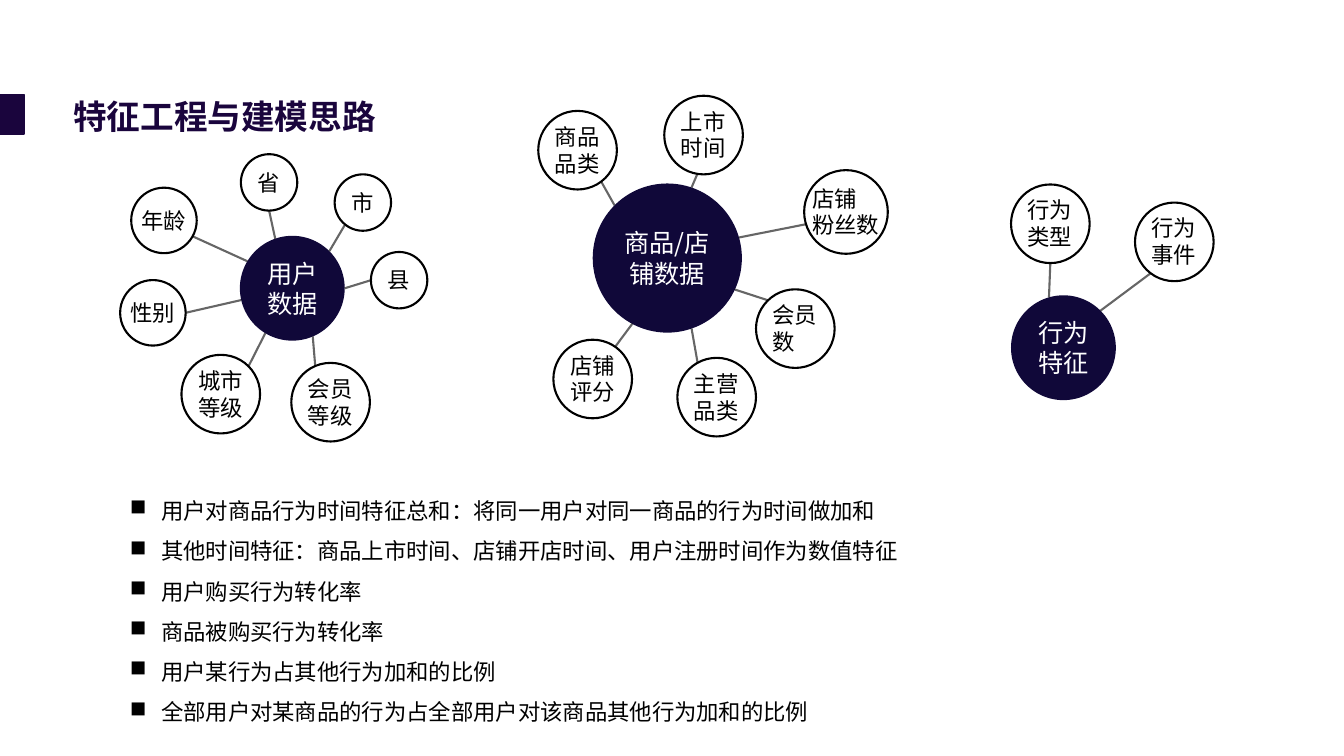
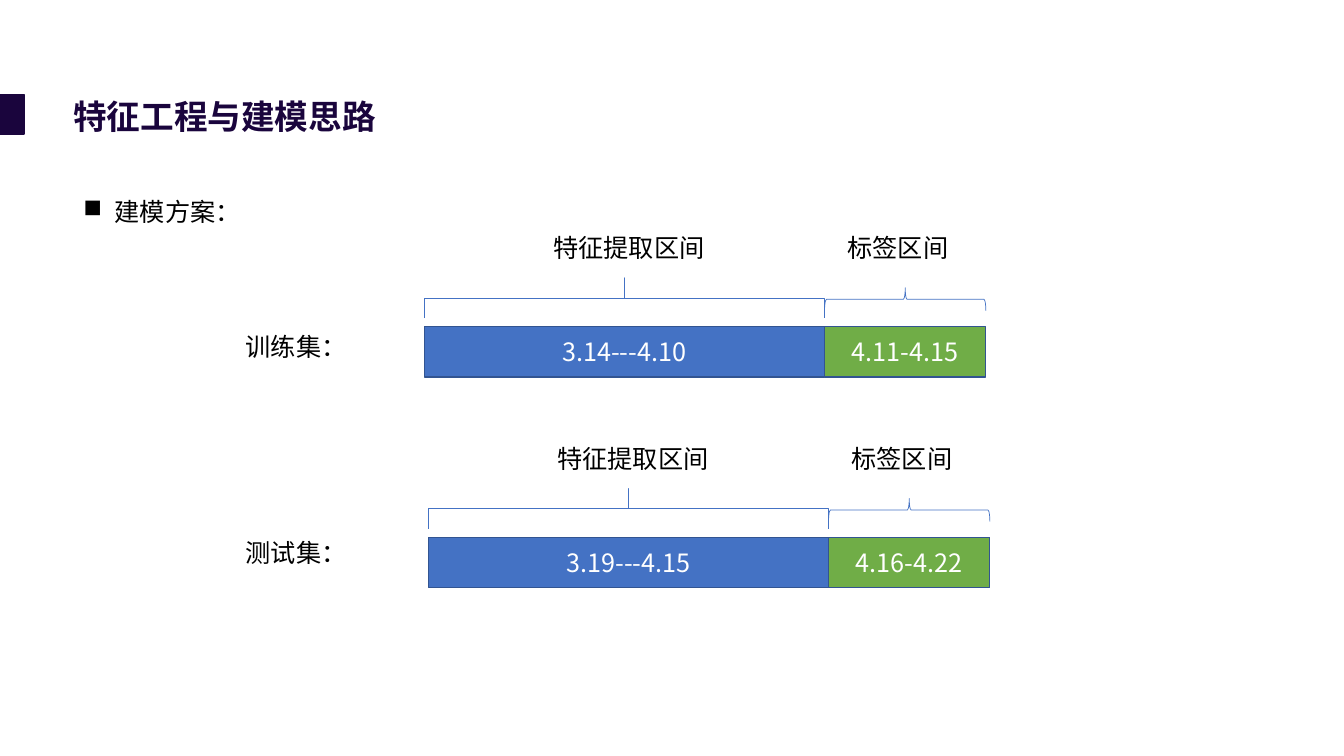
from dataclasses import dataclass
from math import cos, radians, sin

from lxml import etree
from pptx import Presentation, util as u
from pptx.dml.color import RGBColor
from pptx.enum import shapes, text
from pptx.oxml.ns import qn

COLUMNS, ROWS = 40, 22.5  # square cells
CELL = u.Inches(13.333) / COLUMNS


@dataclass(frozen=True)
class Theme:
    font: str = "Noto Sans CJK SC"
    title: str = "1A053D"
    hub: str = "100839"
    ink: str = "000000"
    paper: str = "FFFFFF"
    feature: str = "4472C4"
    label: str = "70AD47"
    edge: str = "325491"
    title_size: int = 24
    large: int = 18
    body: int = 16


THEME = Theme()
SHAPE = shapes.MSO_SHAPE
MIDDLE = text.MSO_ANCHOR.MIDDLE
CENTER = text.PP_ALIGN.CENTER


def cells(*lengths):
    return [u.Emu(round(length * CELL)) for length in lengths]


def write(frame, lines, size, color=THEME.ink, bold=False, align=None, spacing=None, bullet=None):
    """Fill a text frame with one paragraph per line, all in one style."""
    for index, line in enumerate(lines):
        para = frame.paragraphs[0] if index == 0 else frame.add_paragraph()
        para.text = line
        para.alignment = align
        para.line_spacing = spacing
        para.font.size = u.Pt(size)
        para.font.bold = bold
        para.font.color.rgb = RGBColor.from_string(color)
        para.font.name = THEME.font
        props = para._p.get_or_add_pPr()
        default = props.find(qn("a:defRPr"))
        etree.SubElement(default, qn("a:ea"), typeface=THEME.font)
        if bullet:
            indent = u.Inches(0.31)
            props.set("marL", str(indent))
            props.set("indent", str(-indent))
            mark = etree.Element(qn("a:buChar"), char=bullet)
            default.addprevious(mark)


def add_text(page, box, lines, size, wrap=True, anchor=None, **style):
    frame = page.shapes.add_textbox(*cells(*box)).text_frame
    frame.word_wrap = wrap
    frame.vertical_anchor = anchor
    write(frame, lines, size, **style)


def add_shape(page, kind, box, fill=None, line=None, width=1):
    shape = page.shapes.add_shape(kind, *cells(*box))
    shape.shadow.inherit = False
    if fill:
        shape.fill.solid()
        shape.fill.fore_color.rgb = RGBColor.from_string(fill)
    else:
        shape.fill.background()
    if line:
        shape.line.color.rgb = RGBColor.from_string(line)
        shape.line.width = u.Pt(width)
    else:
        shape.line.fill.background()
    return shape


def add_filled(page, kind, box, caption, fill, line=None):
    """A filled shape with a white, centred caption."""
    frame = add_shape(page, kind, box, fill, line).text_frame
    frame.word_wrap = True
    frame.vertical_anchor = MIDDLE
    write(frame, [caption], THEME.large, THEME.paper, align=CENTER)


def circle_box(x, y, diameter):
    return x - diameter / 2, y - diameter / 2, diameter, diameter


def rim(x, y, diameter, degrees):
    """Point on a circle, clockwise from the right."""
    angle = radians(degrees)
    return x + diameter / 2 * cos(angle), y + diameter / 2 * sin(angle)


def add_spoke(page, start, end):
    spoke = page.shapes.add_connector(shapes.MSO_CONNECTOR.STRAIGHT, *cells(*start, *end))
    spoke.line.color.rgb = RGBColor.from_string(THEME.ink)
    spoke.line.width = u.Pt(1.5)
    color = spoke._element.find(".//" + qn("a:srgbClr"))
    etree.SubElement(color, qn("a:alpha"), val="60000")
    etree.SubElement(spoke._element.spPr, qn("a:effectLst"))


def add_cluster(page, x, y, diameter, caption, satellites):
    """A hub circle centred on x, y with its satellites around it."""
    add_filled(page, SHAPE.OVAL, circle_box(x, y, diameter), caption, THEME.hub)
    for lines, dx, dy, size, leaves, meets in satellites:
        center = x + dx, y + dy
        add_shape(page, SHAPE.OVAL, circle_box(*center, size), line=THEME.ink, width=1.5)
        width = 0.67 * max(map(len, lines)) + 0.6
        height = 0.81 * len(lines) + 0.3
        label_box = center[0] - width / 2, center[1] - height / 2, width, height
        add_text(page, label_box, lines, THEME.body, wrap=False)
        add_spoke(page, rim(x, y, diameter, leaves), rim(*center, size, meets))


def add_timeline(page, left, top, spans):
    """A bar of adjoining spans, each with a brace and a heading above it."""
    for segment, dates in zip(SEGMENTS, spans):
        heading, width, fill, heading_x, heading_width, brace_y, depth, curve = segment
        add_filled(page, SHAPE.RECTANGLE, (left, top, width, 1.5), dates, fill, THEME.edge)
        # The brace is laid out upright about its centre, then turned.
        center_x, center_y = left + width / 2, top + brace_y
        upright = center_x - depth / 2, center_y - width / 2, depth, width
        brace = add_shape(page, SHAPE.LEFT_BRACE, upright, line=THEME.feature, width=0.5)
        brace.rotation = 90
        brace.adjustments[0] = curve
        heading_box = left + heading_x, top - 2.94, heading_width, 1.2
        add_text(page, heading_box, [heading], THEME.large)
        left += width


def add_page(deck):
    """A blank slide with the shared title and accent block."""
    page = deck.slides.add_slide(deck.slide_layouts[6])
    add_shape(page, SHAPE.RECTANGLE, (0, 2.82, 0.72, 1.17), THEME.title, THEME.title)
    add_text(page, (1.89, 2.82, 9.9, 1.41), ["特征工程与建模思路"], THEME.title_size,
             anchor=MIDDLE, color=THEME.title, bold=True, spacing=0.9)
    return page


def add_bullets(page, box, lines, size, wrap=True):
    add_text(page, box, lines, size, wrap, spacing=1.5, bullet="■")


# Satellite: lines, offset from hub, diameter, spoke angles at hub and satellite
CLUSTERS = [
    (8.7, 8.58, 3.12, "用户数据", [
        (["年龄"], -3.82, -2.02, 1.95, 211, 29),
        (["性别"], -4.15, 0.73, 1.95, 167, 0),
        (["城市", "等级"], -2.13, 3.15, 2.34, 121, 315),
        (["会员", "等级"], 1.14, 3.39, 2.34, 67, 247),
        (["省"], -0.69, -3.15, 1.68, 251, 90),
        (["市"], 2.1, -2.55, 1.68, 315, 129),
        (["县"], 3.18, -0.24, 1.68, 0, 180),
    ]),
    (19.86, 7.68, 4.44, "商品/店铺数据", [
        (["商品", "品类"], -2.67, -3.21, 2.34, 225, 53),
        (["上市", "时间"], 1.08, -3.66, 2.34, 289, 99),
        (["店铺", "粉丝数"], 5.32, -1.37, 2.49, 344, 163),
        (["会员", "数"], 3.81, 2.1, 2.34, 25, 226),
        (["主营", "品类"], 1.47, 4.14, 2.34, 71, 241),
        (["店铺", "评分"], -2.22, 3.6, 2.34, 118, 305),
    ]),
    (31.65, 10.35, 3.12, "行为特征", [
        (["行为", "事件"], 3.3, -3.15, 2.34, 315, 127),
        (["行为", "类型"], -0.39, -3.69, 2.34, 254, 90),
    ]),
]

FEATURE_NOTES = [
    "用户对商品行为时间特征总和：将同一用户对同一商品的行为时间做加和",
    "其他时间特征：商品上市时间、店铺开店时间、用户注册时间作为数值特征",
    "用户购买行为转化率",
    "商品被购买行为转化率",
    "用户某行为占其他行为加和的比例",
    "全部用户对某商品的行为占全部用户对该商品其他行为加和的比例",
]

# Heading, width, fill, heading offset and width, brace centre, depth and curve
SEGMENTS = [
    ("特征提取区间", 11.91, THEME.feature, 3.54, 5.64, -0.85, 1.2, 0),
    ("标签区间", 4.8, THEME.label, 0.39, 4.02, -0.81, 0.69, 0.08),
]

# Name, name row, bar column, bar row, dates
DATA_SETS = [
    ("训练集：", 9.72, 12.63, 9.72, ["3.14---4.10", "4.11-4.15"]),
    ("测试集：", 15.84, 12.75, 15.99, ["3.19---4.15", "4.16-4.22"]),
]


def build_features(deck):
    page = add_page(deck)
    for cluster in CLUSTERS:
        add_cluster(page, *cluster)
    add_bullets(page, (3.57, 14.25, 23.76, 7.56), FEATURE_NOTES, THEME.body, wrap=False)


def build_modelling(deck):
    page = add_page(deck)
    add_bullets(page, (2.19, 5.25, 6.84, 1.68), ["建模方案："], THEME.large)
    for name, name_row, left, top, spans in DATA_SETS:
        add_text(page, (7.02, name_row, 4.44, 1.2), [name], THEME.large)
        add_timeline(page, left, top, spans)


def main():
    deck = Presentation()
    deck.slide_width, deck.slide_height = cells(COLUMNS, ROWS)
    build_features(deck)
    build_modelling(deck)
    deck.save("out.pptx")


if __name__ == "__main__":
    main()
